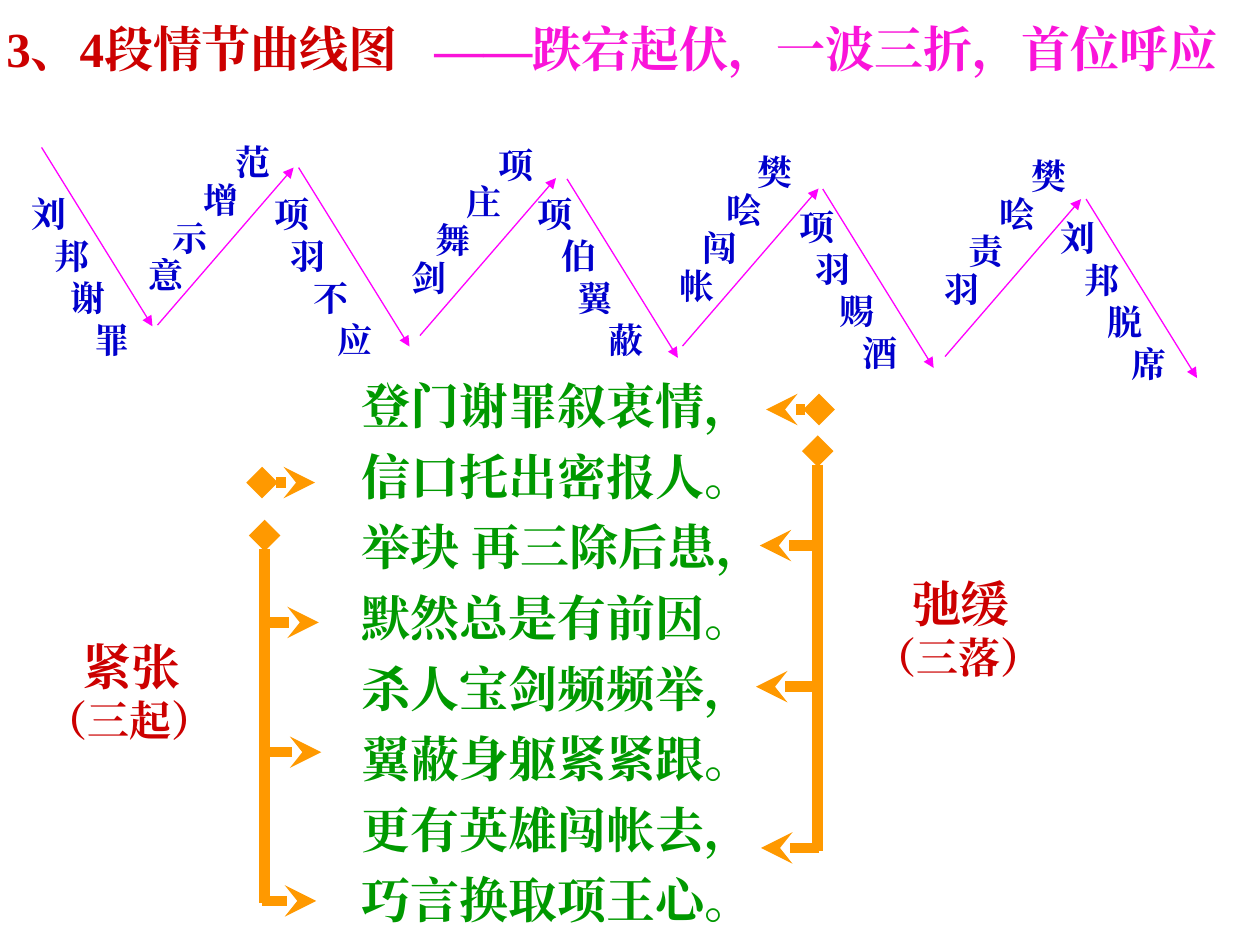
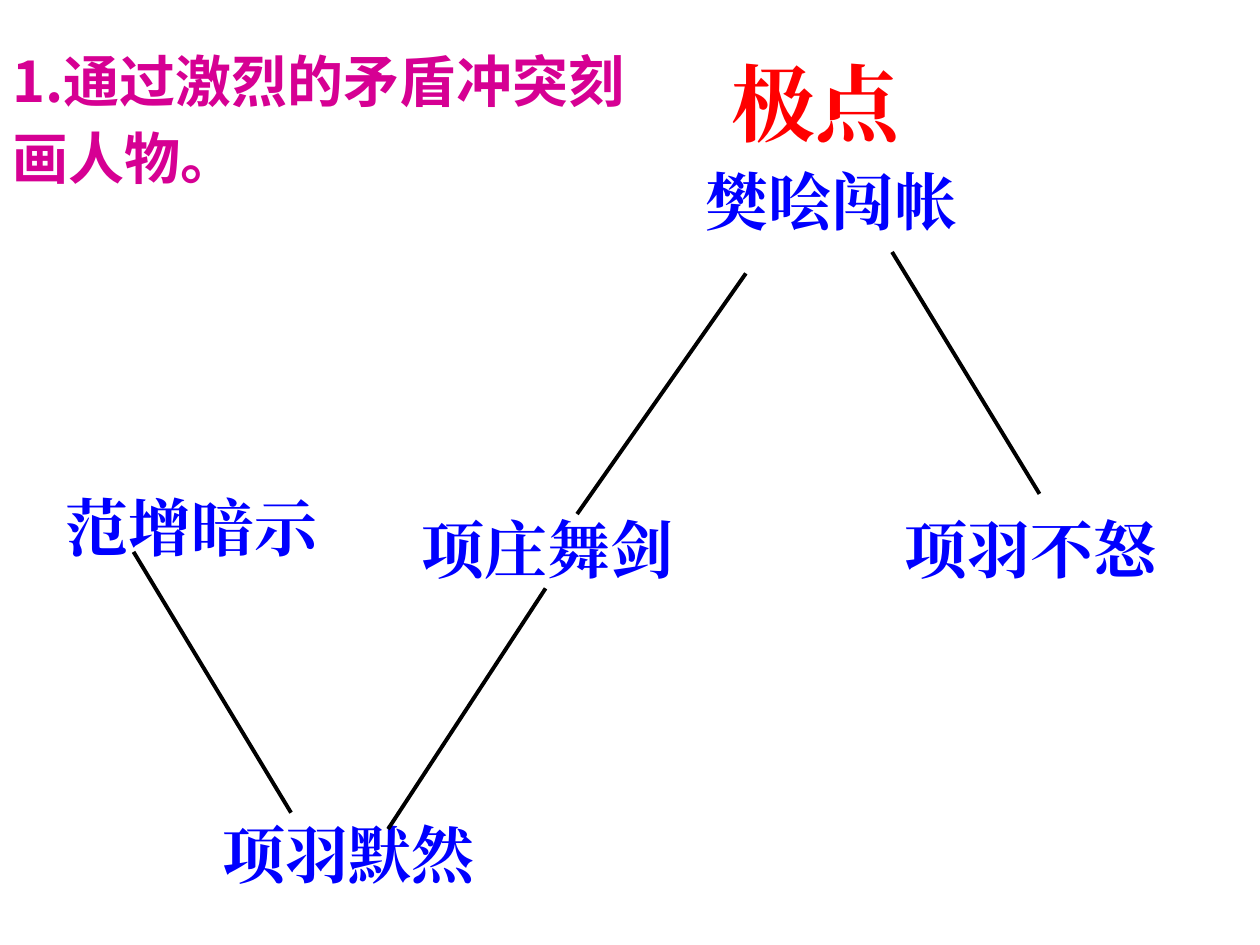
from dataclasses import dataclass

from lxml.etree import SubElement
from pptx import Presentation
from pptx.dml.color import RGBColor
from pptx.enum.shapes import MSO_CONNECTOR
from pptx.enum.text import MSO_ANCHOR, MSO_AUTO_SIZE, PP_ALIGN
from pptx.oxml.ns import qn
from pptx.util import Inches, Pt

COLORS = {
    "heading": "CC0000",
    "subheading": "FA14D9",
    "episode": "0000CC",
    "curve": "FF00FF",
    "poem": "009900",
    "bracket": "FF9900",
    "method": "D60093",
    "scene": "0000FF",
    "climax": "FF0000",
    "link": "000000",
}
SERIF = "Times New Roman"
SANS = "Noto Sans CJK SC"
POEM = [
    "登门谢罪叙衷情，",
    "信口托出密报人。",
    "举玦 再三除后患，",
    "默然总是有前因。",
    "杀人宝剑频频举，",
    "翼蔽身躯紧紧跟。",
    "更有英雄闯帐去，",
    "巧言换取项王心。",
]


@dataclass(frozen=True)
class Episode:
    """A word set along a slope, one character a line."""

    word: str
    left: float
    top: float
    steps: tuple[int, ...]
    spacing: float


@dataclass(frozen=True)
class Bracket:
    """A vertical bar with branches, and its lead arrow and label."""

    x: float
    top: float
    bottom: float
    reach: float
    branches: tuple[tuple[float, float], ...]
    lead_x: float
    lead_y: float
    lead_reach: float
    label: tuple[str, str]
    label_at: tuple[float, float]


@dataclass(frozen=True)
class Scene:
    """A plot scene and its place."""

    name: str
    left: float
    top: float


FALLS = [
    Episode("刘邦谢罪", 0.15, 1.48, (0, 3, 5, 8), 1),
    Episode("项羽不应", 2.08, 1.48, (0, 2, 5, 8), 1),
    Episode("项伯翼蔽", 4.17, 1.48, (0, 3, 5, 9), 1),
    Episode("项羽赐酒", 6.25, 1.58, (0, 2, 5, 8), 1),
    Episode("刘邦脱席", 8.32, 1.67, (0, 3, 6, 9), 1),
]
RISES = [
    Episode("范增示意", 1.08, 1.1, (11, 7, 3, 0), 0.9),
    Episode("项庄舞剑", 3.17, 1.12, (11, 7, 3, 0), 0.9),
    Episode("樊哙闯帐", 5.23, 1.18, (11, 7, 4, 1), 0.9),
    Episode("樊哙责羽", 7.4, 1.21, (11, 7, 3, 0), 0.9),
]
FALL_STARTS = [(0.33, 1.17), (2.37, 1.33), (4.5, 1.42), (6.53, 1.5), (8.62, 1.58)]
BRACKETS = [
    Bracket(2.1, 4.25, 7.17, 0.43, ((2.1, 4.94), (2.12, 5.97), (2.08, 7.15)),
            2.08, 3.83, 0.42, ("紧张", "（三起）"), (0.26, 5)),
    Bracket(6.49, 3.58, 6.75, -0.46, ((6.49, 4.33), (6.46, 5.45), (6.5, 6.73)),
            6.5, 3.25, -0.42, ("弛缓", "（三落）"), (6.84, 4.5)),
]
SCENES = [
    Scene("范增暗示", 0.42, 3.83),
    Scene("项羽默然", 1.67, 6.42),
    Scene("项庄舞剑", 3.25, 4),
    Scene("樊哙闯帐", 5.5, 1.24),
    Scene("项羽不怒", 7.08, 4),
]
SCENE_LINKS = [
    ((1.06, 4.38), (2.31, 6.45)),
    ((3.08, 6.58), (4.33, 4.67)),
    ((4.58, 4.08), (5.92, 2.17)),
    ((7.08, 2), (8.25, 3.92)),
]


def write(slide, lines, left: float, top: float, width: float, height: float, *,
          color: str, sizes, indents=(), spacing: float = 1, font: str = SERIF,
          holder=None) -> None:
    """Write bold lines in a placeholder or a new text box."""
    box_size = [Inches(length) for length in (left, top, width, height)]
    box = holder if holder is not None else slide.shapes.add_textbox(*box_size)
    box.left, box.top, box.width, box.height = box_size
    frame = box.text_frame
    frame.word_wrap = True
    frame.auto_size = MSO_AUTO_SIZE.NONE
    frame.vertical_anchor = MSO_ANCHOR.TOP
    for index, line in enumerate(lines):
        paragraph = frame.add_paragraph() if index else frame.paragraphs[0]
        size = sizes[index] if isinstance(sizes, tuple) else sizes
        indent = indents[index] if indents else 0
        properties = paragraph._p.get_or_add_pPr()
        properties.set("marL", str(Inches(indent)))
        properties.set("indent", "0")
        SubElement(properties, qn("a:buNone"))
        paragraph.alignment = PP_ALIGN.LEFT
        paragraph.space_before = Pt(0)
        paragraph.line_spacing = Pt(size * 1.2 * spacing)
        run = paragraph.add_run()
        run.text = line
        run.font.size = Pt(size)
        run.font.bold = True
        run.font.color.rgb = RGBColor.from_string(COLORS[color])
        run.font.name = font
        SubElement(run._r.get_or_add_rPr(), qn("a:ea")).set("typeface", font)


def draw_line(slide, start: tuple[float, float], end: tuple[float, float], *,
              color: str, weight: float, head: str = "none", tail: str = "none") -> None:
    """Draw a straight line with optional ends."""
    points = [Inches(value) for value in (*start, *end)]
    connector = slide.shapes.add_connector(MSO_CONNECTOR.STRAIGHT, *points)
    connector.line.color.rgb = RGBColor.from_string(COLORS[color])
    connector.line.width = Pt(weight)
    outline = connector.line._get_or_add_ln()
    SubElement(outline, qn("a:headEnd")).set("type", head)
    SubElement(outline, qn("a:tailEnd")).set("type", tail)
    SubElement(connector._element.spPr, qn("a:effectLst"))


def draw_curve(slide) -> None:
    """Draw the zigzag plot curve with its episodes."""
    for episode in FALLS + RISES:
        write(slide, episode.word, episode.left, episode.top, 1.6, 1.44,
              color="episode", sizes=20, spacing=episode.spacing,
              indents=[step / 16 for step in episode.steps])
    slopes = [((x, y), (x + 0.88, y + 1.42)) for x, y in FALL_STARTS]
    for index in range(len(RISES)):
        x, y = 1.25 + index * 25 / 12, 2.58 + index / 12
        slopes.append(((x, y), (x + 1.08, y - 1.25)))
    for start, end in slopes:
        draw_line(slide, start, end, color="curve", weight=0.75, tail="triangle")


def draw_bracket(slide, bracket: Bracket) -> None:
    """Draw one bracket with its arrows and label."""
    style = {"color": "bracket", "weight": 6}
    draw_line(slide, (bracket.x, bracket.top), (bracket.x, bracket.bottom),
              head="diamond", **style)
    for x, y in bracket.branches:
        draw_line(slide, (x, y), (x + bracket.reach, y), tail="stealth", **style)
    draw_line(slide, (bracket.lead_x, bracket.lead_y),
              (bracket.lead_x + bracket.lead_reach, bracket.lead_y),
              head="diamond", tail="stealth", **style)
    write(slide, bracket.label, *bracket.label_at, 1.7, 0.97,
          color="heading", sizes=(28, 24), indents=(0.3, 0))


def build_plot_slide(deck) -> None:
    """Build the slide with the plot curve and the poem."""
    slide = deck.slides.add_slide(deck.slide_layouts[1])
    write(slide, ["3、4段情节曲线图"], -0.05, 0.1, 3.8, 0.57,
          color="heading", sizes=28, holder=slide.shapes.title)
    write(slide, ["——跌宕起伏，一波三折，首位呼应"], 3.35, 0.1, 6.6, 0.57,
          color="subheading", sizes=28)
    draw_curve(slide)
    write(slide, POEM, 2.77, 2.84, 3.6, 4.58, color="poem", sizes=28,
          spacing=1.2, holder=slide.placeholders[1])
    for bracket in BRACKETS:
        draw_bracket(slide, bracket)


def build_conflict_slide(deck) -> None:
    """Build the slide with the scenes leading to the climax."""
    slide = deck.slides.add_slide(deck.slide_layouts[5])
    write(slide, ["1.通过激烈的矛盾冲突刻画人物。"], 0, 0.24, 5.08, 1.33,
          color="method", sizes=32, spacing=1.15, font=SANS,
          holder=slide.shapes.title)
    for scene in SCENES:
        write(slide, [scene.name], scene.left, scene.top, 2.4, 0.7,
              color="scene", sizes=36)
    for start, end in SCENE_LINKS:
        draw_line(slide, start, end, color="link", weight=2.25)
    write(slide, ["极点"], 5.71, 0.36, 2.58, 0.9, color="climax", sizes=48)


def main() -> None:
    """Build and save the deck."""
    deck = Presentation()
    deck.slide_width, deck.slide_height = Inches(10), Inches(7.5)
    build_plot_slide(deck)
    build_conflict_slide(deck)
    deck.save("out.pptx")


if __name__ == "__main__":
    main()
